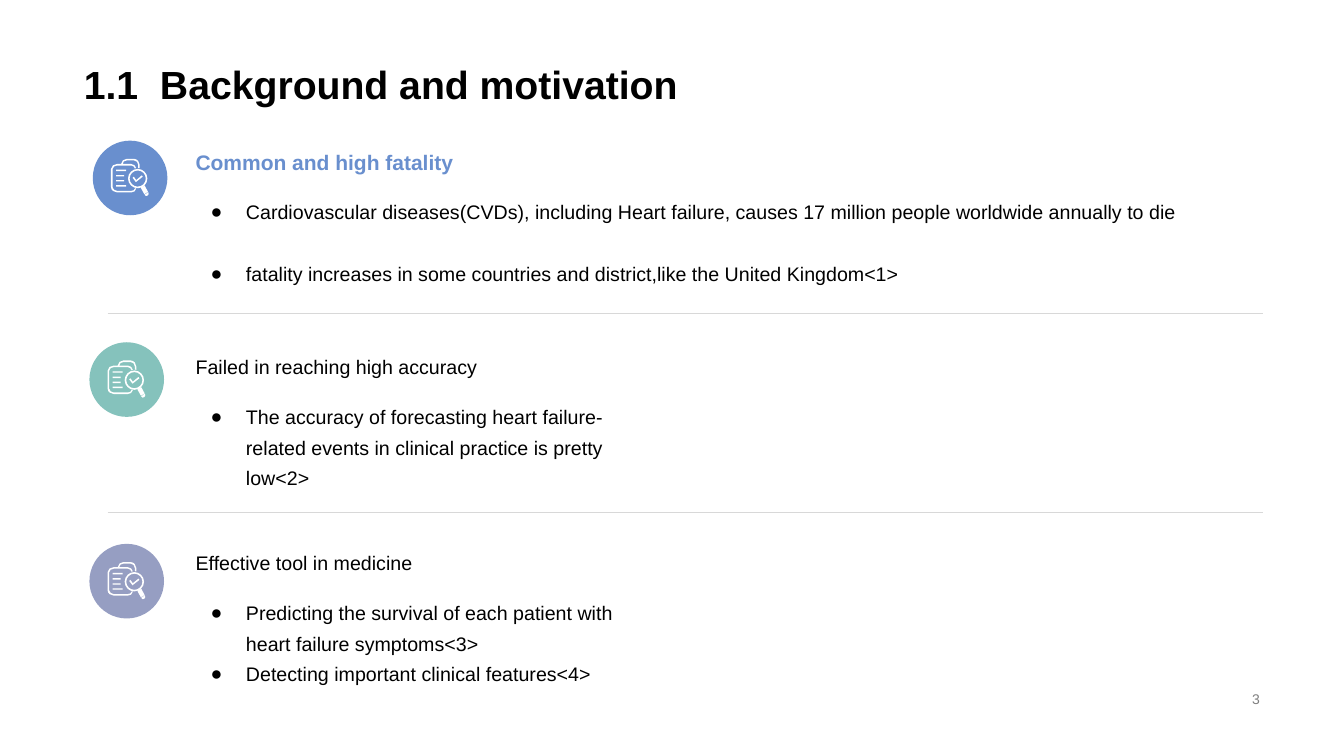
"""Build the background and motivation slide."""
from lxml.etree import SubElement
from pptx import Presentation
from pptx.dml.color import RGBColor
from pptx.enum.shapes import MSO_CONNECTOR as Connector, MSO_SHAPE as Shape
from pptx.enum.text import MSO_ANCHOR as Anchor, MSO_AUTO_SIZE as AutoSize, PP_ALIGN as Align
from pptx.oxml.ns import qn
from pptx.util import Pt

BLACK = RGBColor(0x00, 0x00, 0x00)
WHITE = RGBColor(0xFF, 0xFF, 0xFF)
BLUE = RGBColor(0x69, 0x8F, 0xCE)
TEAL = RGBColor(0x85, 0xC2, 0xBC)
LILAC = RGBColor(0x96, 0x9E, 0xC2)
GRAY = RGBColor(0x7F, 0x7F, 0x7F)
RULE = RGBColor(0xD8, 0xD8, 0xD8)

TITLE = "1.1  Background and motivation"
PAGE = "3"
SECTIONS = [
    dict(heading="Common and high fatality", size=15, bold=True, ink=BLUE, badge=BLUE,
         badge_left=66.3, top=97, heading_width=348.5, body_width=777, gap=22,
         bullets=["Cardiovascular diseases(CVDs), including Heart failure, causes 17 million "
                  "people worldwide annually to die",
                  "fatality increases in some countries and district,like the United Kingdom<1>"]),
    dict(heading="Failed in reaching high accuracy", size=14, bold=False, ink=BLACK, badge=TEAL,
         badge_left=63.9, top=243.4, heading_width=325.5, body_width=325.5, gap=0,
         bullets=["The accuracy of forecasting heart failure-related events in clinical "
                  "practice is pretty low<2>"]),
    dict(heading="Effective tool in medicine", size=14, bold=False, ink=BLACK, badge=LILAC,
         badge_left=63.9, top=383.4, heading_width=325.5, body_width=325.5, gap=0,
         bullets=["Predicting the survival of each patient with heart failure symptoms<3>",
                  "Detecting important clinical features<4>"]),
]
RULE_TOPS = [223.8, 365.8]
RULE_LEFT, RULE_RIGHT = 76.8, 902
TEXT_LEFT, HEADING_HEIGHT, BODY_HEIGHT = 132.6, 37.4, 78.5
BADGE_TOP, BADGE_STEP, BADGE_SIZE, ICON_INSET = 100.5, 144, 53.3, 13

ICON_UNIT = 0.72
CLIPBOARD = [
    (24, 29), (24, 29, 25, 29, 25, 29.5), (24.5, 32, 22.5, 33.3, 20, 33.3), (6, 33.3),
    (3, 33.3, 0, 31, 0, 28), (0, 10), (0, 7, 3, 5, 6, 5), (10, 5), (10, 2, 13, 0, 15.5, 0),
    (23, 0), (26, 0, 28.5, 3, 28.5, 6), (28.5, 9.3), (28, 9, 27, 9, 27, 9), (27, 6),
    (27, 3.5, 25, 1.6, 23, 1.6), (15.5, 1.6), (13.5, 1.6, 11.6, 3, 11.6, 5), (20, 5),
    (22.5, 5, 24.5, 7, 25, 9), (25, 9, 24, 9, 23.7, 9.6), (23.3, 8, 22, 6.6, 20, 6.6),
    (6, 6.6), (4, 6.6, 1.6, 8, 1.6, 10), (1.6, 28), (1.6, 30, 4, 31.7, 6, 31.7),
    (20, 31.7), (22, 31.7, 23.3, 31, 24, 29),
]
HANDLE = [(33.5, 26.7), (29.7, 29), (33, 34.9), (36.7, 32.6)]
HANDLE_TIP = [(37, 33), (33.3, 35.5), (34, 37, 35.3, 37.2, 36.3, 36.4), (37.4, 35.8, 37.7, 34.5, 37, 33)]
CHECK = [(25, 21), (22.7, 17.7), (21.4, 18.7), (24.7, 23), (31.6, 17.6), (30.5, 16.4)]
LENS_CENTER, LENS_RADII = (26.5, 19.5), (9.6, 8)
NOTE_LINES = [(10.7, 10), (16, 8), (21, 8), (26, 10)]


def ring(radius):
    x, y = LENS_CENTER
    bend = 0.55 * radius
    quarters = [(x + radius, y)]
    for across, down in ((1, 0), (0, 1), (-1, 0), (0, -1)):
        start = x + radius * across, y + radius * down
        end = x - radius * down, y + radius * across
        quarters.append((start[0] - bend * down, start[1] + bend * across,
                         end[0] + bend * across, end[1] + bend * down, *end))
    return quarters


def icon_outlines():
    notes = [[(5, y), (5 + w, y), (5 + w, y + 1.4), (5, y + 1.4)] for y, w in NOTE_LINES]
    return [CLIPBOARD, HANDLE, HANDLE_TIP, CHECK] + [ring(radius) for radius in LENS_RADII] + notes


def paint(shape, color):
    shape.fill.solid()
    shape.fill.fore_color.rgb = color
    shape.line.fill.background()
    shape.shadow.inherit = False


def bend_curves(icon, outlines):
    lines = iter(list(icon._element.iter(qn("a:lnTo"))))
    for outline in outlines:
        for segment in outline[1:]:
            curve = next(lines)
            if len(segment) == 6:
                curve.tag = qn("a:cubicBezTo")
                for control in (next(lines), next(lines)):
                    curve.append(control[0])
                    control.getparent().remove(control)


def add_icon(slide, left, top):
    outlines = icon_outlines()
    contours = [[(Pt(segment[i] * ICON_UNIT), Pt(segment[i + 1] * ICON_UNIT))
                 for segment in outline for i in range(0, len(segment), 2)]
                for outline in outlines]
    builder = slide.shapes.build_freeform(*contours[0][0])
    for index, contour in enumerate(contours):
        if index:
            builder.move_to(*contour[0])
        builder.add_line_segments(contour[1:], close=True)
    icon = builder.convert_to_shape(Pt(left), Pt(top))
    bend_curves(icon, outlines)
    paint(icon, WHITE)


def add_badge(slide, left, top, color):
    paint(slide.shapes.add_shape(Shape.OVAL, Pt(left), Pt(top), Pt(BADGE_SIZE), Pt(BADGE_SIZE)), color)
    add_icon(slide, left + ICON_INSET, top + ICON_INSET)


def add_box(slide, left, top, width, height, anchor):
    frame = slide.shapes.add_textbox(Pt(left), Pt(top), Pt(width), Pt(height)).text_frame
    frame.word_wrap = True
    frame.vertical_anchor = anchor
    return frame


def add_run(paragraph, text, size, color, bold=False):
    run = paragraph.add_run()
    run.text = text
    run.font.name = "Arial"
    run.font.size = Pt(size)
    run.font.bold = bold
    run.font.color.rgb = color


def add_bullets(frame, bullets, gap):
    for index, bullet in enumerate(bullets):
        paragraph = frame.add_paragraph() if index else frame.paragraphs[0]
        properties = paragraph._p.get_or_add_pPr()
        properties.set("marL", str(Pt(36)))
        properties.set("indent", str(Pt(-25.2)))
        tint = SubElement(properties, qn("a:buClr"))
        SubElement(tint, qn("a:srgbClr")).set("val", str(BLACK))
        SubElement(properties, qn("a:buFont")).set("typeface", "Arial")
        SubElement(properties, qn("a:buChar")).set("char", "●")
        paragraph.line_spacing = 1.3
        if index and gap:
            paragraph.space_before = Pt(gap)
        add_run(paragraph, bullet, 14, BLACK)


def main():
    deck = Presentation()
    deck.slide_width, deck.slide_height = Pt(960), Pt(540)
    slide = deck.slides.add_slide(deck.slide_layouts[5])

    title = slide.shapes.title
    title.left, title.top, title.width, title.height = Pt(52.7), Pt(0), Pt(855), Pt(80.6)
    title.text_frame.auto_size = AutoSize.NONE
    title.text_frame.vertical_anchor = Anchor.BOTTOM
    heading = title.text_frame.paragraphs[0]
    heading.alignment = Align.LEFT
    heading.line_spacing = 0.9
    add_run(heading, TITLE, 28, BLACK, True)

    page = add_box(slide, 678, 491, 229, 16.5, Anchor.MIDDLE).paragraphs[0]
    page.alignment = Align.RIGHT
    add_run(page, PAGE, 10, GRAY)

    for index, section in enumerate(SECTIONS):
        add_badge(slide, section["badge_left"], BADGE_TOP + index * BADGE_STEP, section["badge"])

    for top in RULE_TOPS:
        rule = slide.shapes.add_connector(Connector.STRAIGHT, Pt(RULE_LEFT), Pt(top), Pt(RULE_RIGHT), Pt(top))
        rule.line.color.rgb = RULE
        rule.line.width = Pt(0.75)
        SubElement(rule._element.spPr, qn("a:effectLst"))

    for section in SECTIONS:
        body = add_box(slide, TEXT_LEFT, section["top"] + HEADING_HEIGHT, section["body_width"],
                       BODY_HEIGHT, Anchor.TOP)
        add_bullets(body, section["bullets"], section["gap"])
        label = add_box(slide, TEXT_LEFT, section["top"], section["heading_width"],
                        HEADING_HEIGHT, Anchor.MIDDLE)
        add_run(label.paragraphs[0], section["heading"], section["size"], section["ink"], section["bold"])

    deck.save("out.pptx")


if __name__ == "__main__":
    main()
